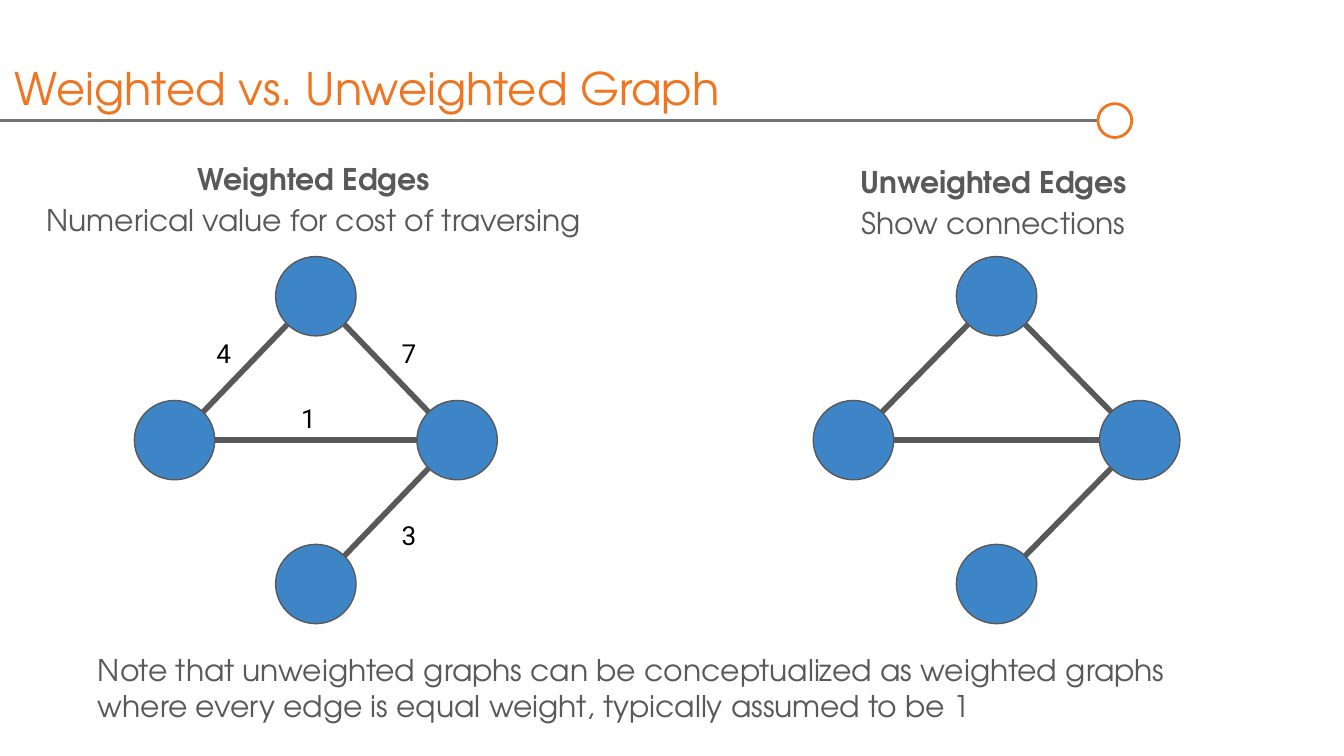
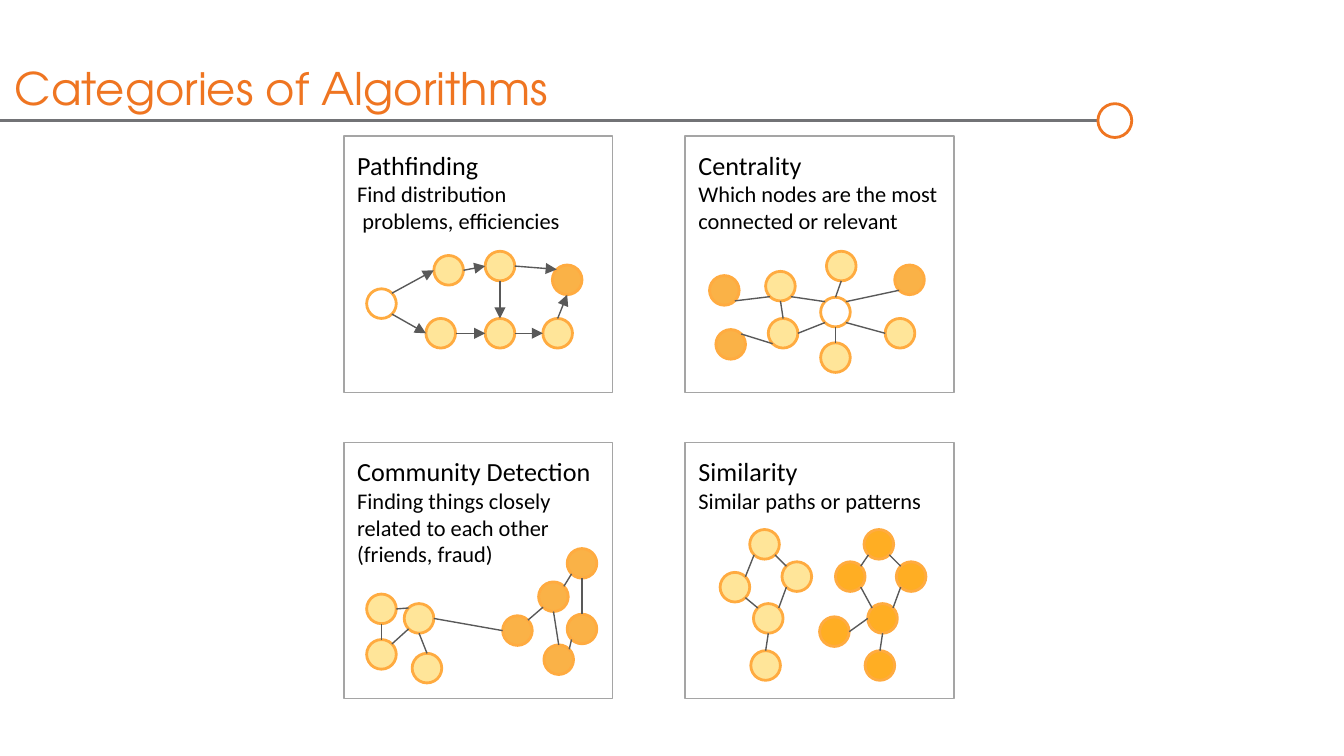
from lxml import etree
from pptx import Presentation, util as u
from pptx.dml.color import RGBColor
from pptx.enum import shapes, text
from pptx.oxml.ns import qn

ORANGE, RULE_GREY, DARK_GREY = "EF7521", "727376", "595959"
BLUE, BLACK, WHITE, CARD_BORDER = "3D85C6", "000000", "FFFFFF", "A5A5A5"
NODE_BORDER = "FFAB40"
HEADING_FONT, WEIGHT_FONT, CARD_FONT = "TeX Gyre Adventor", "Roboto", "Calibri"

# Fill colour and opacity in percent for each kind of small node
OPEN, PALE, STRONG, VIVID = (WHITE, 100), ("FFE599", 100), ("F99F1A", 80), ("FFAE23", 100)

DIAGONAL = 0.7071
SITES = {
    "n": (0, -1), "s": (0, 1), "w": (-1, 0), "e": (1, 0),
    "nw": (-DIAGONAL, -DIAGONAL), "ne": (DIAGONAL, -DIAGONAL),
    "sw": (-DIAGONAL, DIAGONAL), "se": (DIAGONAL, DIAGONAL),
}

SMALL_NODE = (0.56, 0.56)
LARGE_NODE = (1.52, 1.5)
CARD_SIZE = (5.08, 4.85)
CARD_ORIGIN = (6.5, 2.57)
CARD_PITCH = (6.45, 5.79)

# Node centres are in cm from the card's top left corner.
# An edge reads: node, side, node, side.
PATHFINDING = {
    "nodes": {
        "start": (0.71, 3.17, OPEN), "upper1": (1.98, 2.54, PALE),
        "goal": (4.22, 2.72, STRONG), "lower1": (1.83, 3.73, PALE),
        "upper2": (2.95, 2.46, PALE), "lower2": (2.95, 3.73, PALE),
        "lower3": (4.04, 3.73, PALE),
    },
    "edges": [
        "start ne upper1 w", "start se lower1 w", "lower1 e lower2 w",
        "lower2 e lower3 w", "lower3 n goal s", "upper1 e upper2 w",
        "upper2 e goal nw", "upper2 s lower2 n",
    ],
}
CENTRALITY = {
    "nodes": {
        "hub": (2.84, 3.33, OPEN), "upper": (1.8, 2.84, PALE),
        "far_right": (4.24, 2.72, STRONG), "lower": (1.85, 3.73, PALE),
        "top": (2.95, 2.46, PALE), "bottom": (2.84, 4.19, PALE),
        "right": (4.06, 3.73, PALE), "far_upper": (0.74, 2.92, STRONG),
        "far_lower": (0.86, 3.94, STRONG),
    },
    "edges": [
        "top s hub n", "far_right sw hub ne", "right w hub se",
        "upper se hub nw", "lower e hub sw", "bottom n hub s",
        "far_upper se upper sw", "far_lower ne lower sw", "lower n upper s",
    ],
}
COMMUNITY = {
    "nodes": {
        "pale1": (0.71, 3.15, PALE), "pale2": (0.71, 4.01, PALE),
        "pale_hub": (1.42, 3.33, PALE), "pale3": (1.57, 4.27, PALE),
        "bridge": (3.28, 3.56, STRONG), "strong_hub": (3.96, 2.92, STRONG),
        "low": (4.06, 4.11, STRONG), "middle": (4.5, 3.53, STRONG),
        "high": (4.5, 2.29, STRONG),
    },
    "edges": [
        "high sw strong_hub ne", "high s middle n", "middle sw low ne",
        "strong_hub sw bridge ne", "strong_hub s low n", "pale_hub s pale3 n",
        "pale_hub sw pale2 ne", "pale_hub nw pale1 e", "pale1 s pale2 n",
        "bridge w pale_hub e",
    ],
}
KITE_EDGES = ["top sw left ne", "top se right nw", "left se hub nw",
              "right sw hub ne", "hub s leaf n"]
PALE_KITE = {
    "nodes": {
        "top": (1.5, 1.93, PALE), "left": (0.94, 2.74, PALE),
        "right": (2.11, 2.54, PALE), "hub": (1.57, 3.33, PALE),
        "leaf": (1.52, 4.22, PALE),
    },
    "edges": KITE_EDGES,
}
VIVID_KITE = {
    "nodes": {
        "top": (3.66, 1.93, VIVID), "left": (3.12, 2.54, VIVID),
        "right": (4.27, 2.54, VIVID), "hub": (3.73, 3.33, VIVID),
        "leaf": (3.68, 4.22, VIVID), "extra": (2.82, 3.58, VIVID),
    },
    "edges": KITE_EDGES + ["hub w extra e"],
}

# Column, row, heading, description lines, networks, directed
CARDS = [
    (0, 0, "Pathfinding", ["Find distribution", "problems, efficiencies"],
     [PATHFINDING], True),
    (1, 0, "Centrality", ["Which nodes are the most connected or relevant"],
     [CENTRALITY], False),
    (0, 1, "Community Detection",
     ["Finding things closely related to each other (friends, fraud)"],
     [COMMUNITY], False),
    (1, 1, "Similarity", ["Similar paths or patterns"],
     [PALE_KITE, VIVID_KITE], False),
]


def rgb(value):
    return RGBColor.from_string(value)


def add_figure(parent, kind, box, fill, border, width):
    """Add a preset shape; fill is None or (colour, opacity)."""
    figure = parent.add_shape(kind, *map(u.Cm, box))
    figure.shadow.inherit = False
    if fill is None:
        figure.fill.background()
    else:
        colour, opacity = fill
        figure.fill.solid()
        figure.fill.fore_color.rgb = rgb(colour)
        if opacity < 100:
            srgb = figure.fill._xPr.find(".//" + qn("a:srgbClr"))
            etree.SubElement(srgb, qn("a:alpha"), val=str(opacity * 1000))
    figure.line.color.rgb = rgb(border)
    figure.line.width = u.Pt(width)


def add_line(parent, start, end, colour, width, arrow=False):
    line = parent.add_connector(shapes.MSO_CONNECTOR.STRAIGHT,
                                *map(u.Cm, (*start, *end)))
    line.line.color.rgb = rgb(colour)
    line.line.width = u.Pt(width)
    if arrow:
        etree.SubElement(line.line._get_or_add_ln(), qn("a:tailEnd"), type="triangle")
    etree.SubElement(line._element.spPr, qn("a:effectLst"))


def add_text_frame(parent, box, inset=0.25, anchor=text.MSO_ANCHOR.TOP):
    frame = parent.add_textbox(*map(u.Cm, box)).text_frame
    frame.word_wrap = True
    frame.vertical_anchor = anchor
    frame.margin_left = frame.margin_right = u.Cm(0.25)
    frame.margin_top = frame.margin_bottom = u.Cm(inset)
    return frame


def write(frame, words, font, size, colour, bold=False):
    """Write one paragraph, using the empty first one if it is free."""
    paragraph = frame.paragraphs[0]
    if paragraph.runs:
        paragraph = frame.add_paragraph()
    run = paragraph.add_run()
    run.text = words
    run.font.name = font
    run.font.size = u.Pt(size)
    run.font.bold = bold
    run.font.color.rgb = rgb(colour)
    return paragraph


def add_network(parent, origin, network, node_size, border, border_width,
                edge_width, arrow=False):
    """Draw the nodes, then join them from side to side."""
    left, top = origin
    width, height = node_size
    nodes = network["nodes"]

    def site(name, side):
        x, y, _ = nodes[name]
        dx, dy = SITES[side]
        return left + x + dx * width / 2, top + y + dy * height / 2

    for x, y, fill in nodes.values():
        box = (left + x - width / 2, top + y - height / 2, width, height)
        add_figure(parent, shapes.MSO_SHAPE.OVAL, box, fill, border, border_width)
    for edge in network["edges"]:
        source, source_side, target, target_side = edge.split()
        add_line(parent, site(source, source_side), site(target, target_side),
                 DARK_GREY, edge_width, arrow)


def start_slide(deck, title):
    """Add a slide with the title, the rule and the ring at its end."""
    slide = deck.slides.add_slide(deck.slide_layouts[6])
    add_line(slide.shapes, (0, 2.28), (20.75, 2.28), RULE_GREY, 1.5)
    add_figure(slide.shapes, shapes.MSO_SHAPE.OVAL, (20.75, 1.96, 0.64, 0.64),
               None, ORANGE, 1.5)
    frame = add_text_frame(slide.shapes, (0.03, 0.13, 20.5, 2.16), 0.13,
                           text.MSO_ANCHOR.BOTTOM)
    write(frame, title, HEADING_FONT, 24, ORANGE)
    return slide


def add_edge_caption(slide, left, top, heading, meaning):
    frame = add_text_frame(slide.shapes, (left, top, 11.1, 1.65))
    for words, bold in ((heading, True), (meaning, False)):
        paragraph = write(frame, words, HEADING_FONT, 16, DARK_GREY, bold)
        paragraph.alignment = text.PP_ALIGN.CENTER
        paragraph.line_spacing = 1.15
    paragraph.space_after = u.Pt(16)


def add_example_graph(slide, left, top, width, weights=()):
    node_width, node_height = LARGE_NODE
    middle, side, step = width / 2, node_width / 2, 2.72
    first = node_height / 2
    fill = (BLUE, 100)
    graph = {
        "nodes": {
            "top": (middle, first, fill), "left": (side, first + step, fill),
            "right": (width - side, first + step, fill),
            "bottom": (middle, first + 2 * step, fill),
        },
        "edges": ["top sw left ne", "top se right nw",
                  "right sw bottom ne", "left e right w"],
    }
    add_network(slide.shapes, (left, top), graph, LARGE_NODE, DARK_GREY, 0.75, 3)
    for weight, x, y in weights:
        frame = add_text_frame(slide.shapes, (left + x, top + y, 1.02, 0.71))
        write(frame, weight, WEIGHT_FONT, 14, BLACK)


def build_weighted_slide(deck):
    slide = start_slide(deck, "Weighted vs. Unweighted Graph")
    weights = [("4", 1.3, 1.27), ("7", 4.8, 1.27), ("1", 2.9, 2.51), ("3", 4.8, 4.72)]
    add_example_graph(slide, 2.54, 4.85, 6.86, weights)
    add_example_graph(slide, 15.37, 4.85, 6.93)
    add_edge_caption(slide, 0.38, 2.69, "Weighted Edges",
                     "Numerical value for cost of traversing")
    add_edge_caption(slide, 13.23, 2.74, "Unweighted Edges", "Show connections")
    note = add_text_frame(slide.shapes, (1.6, 12.07, 21.41, 1.8))
    write(note, "Note that unweighted graphs can be conceptualized as weighted graphs "
          "where every edge is equal weight, typically assumed to be 1",
          HEADING_FONT, 16, DARK_GREY)


def add_category_card(slide, left, top, heading, description, networks, directed):
    card = slide.shapes.add_group_shape().shapes
    width, height = CARD_SIZE
    add_figure(card, shapes.MSO_SHAPE.RECTANGLE, (left, top, width, height),
               (WHITE, 100), CARD_BORDER, 0.75)
    frame = add_text_frame(card, (left, top, width, 1.32))
    write(frame, heading, CARD_FONT, 14, BLACK)
    for number, words in enumerate(description):
        paragraph = write(frame, words, CARD_FONT, 12, BLACK)
        if number:
            paragraph._p.get_or_add_pPr().set("marL", str(u.Cm(0.1)))
    for network in networks:
        add_network(card, (left, top), network, SMALL_NODE, NODE_BORDER, 1.5,
                    0.75, directed)


def build_categories_slide(deck):
    slide = start_slide(deck, "Categories of Algorithms")
    for column, row, *content in CARDS:
        left = CARD_ORIGIN[0] + column * CARD_PITCH[0]
        top = CARD_ORIGIN[1] + row * CARD_PITCH[1]
        add_category_card(slide, left, top, *content)


def main():
    deck = Presentation()
    deck.slide_width, deck.slide_height = u.Cm(25.4), u.Cm(14.29)
    build_weighted_slide(deck)
    build_categories_slide(deck)
    deck.save("out.pptx")


if __name__ == "__main__":
    main()
